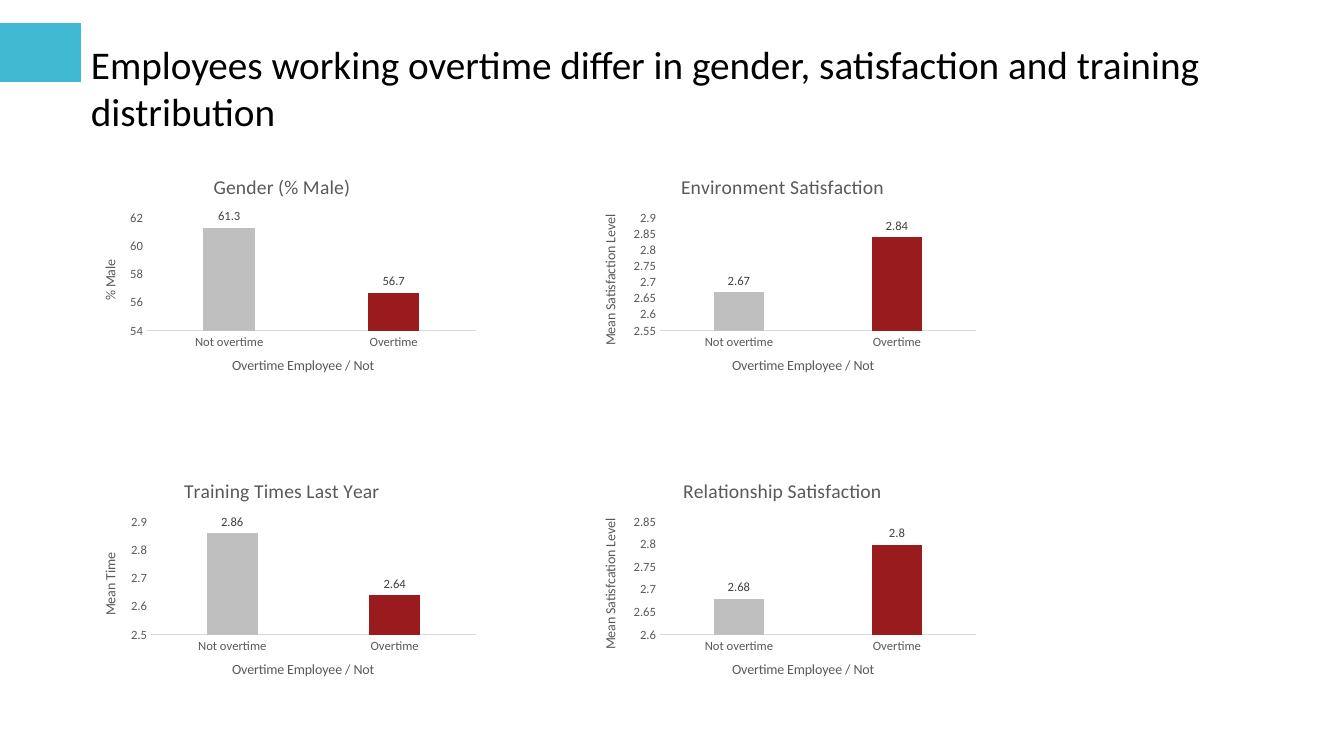
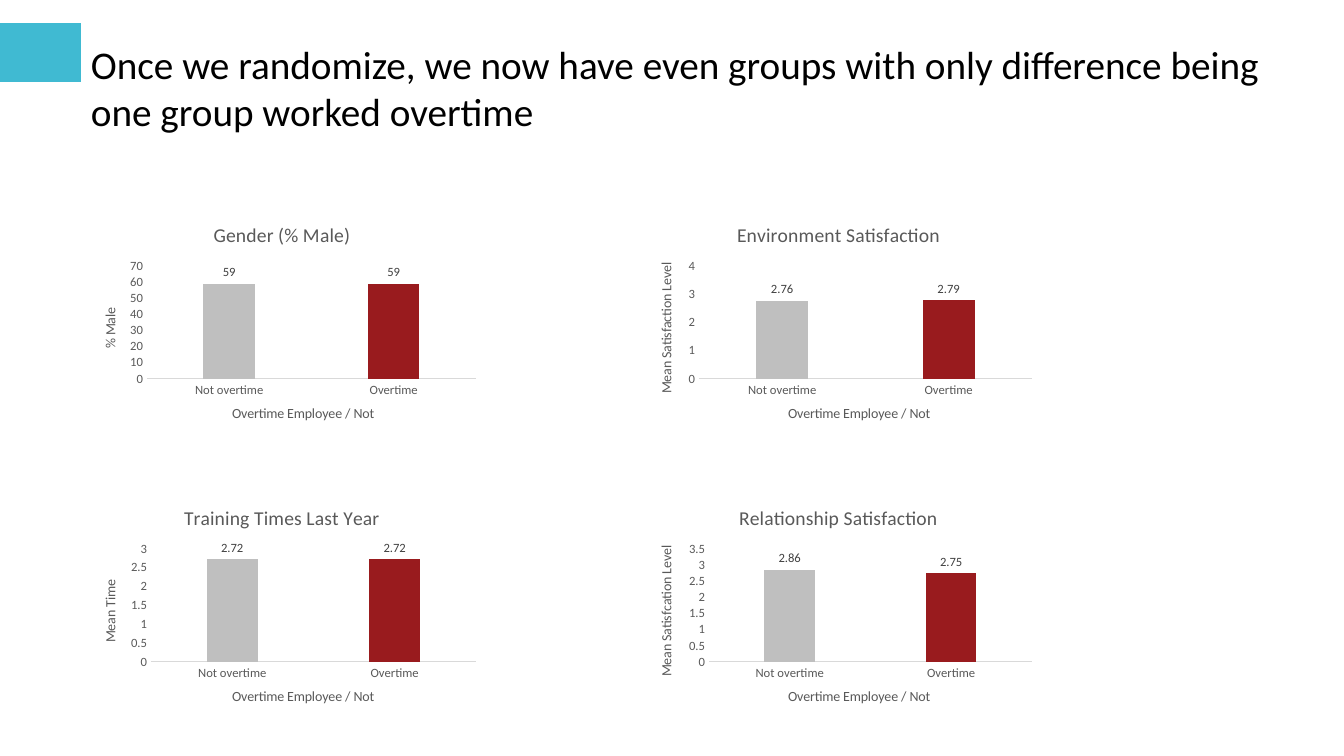
from dataclasses import dataclass

from lxml.etree import SubElement
from pptx import Presentation
from pptx.chart.data import CategoryChartData
from pptx.dml.color import RGBColor
from pptx.enum.chart import XL_CHART_TYPE as Kind
from pptx.enum.chart import XL_LABEL_POSITION as Spot
from pptx.enum.chart import XL_TICK_MARK as Tick
from pptx.enum.shapes import MSO_SHAPE as Form
from pptx.oxml.ns import qn
from pptx.util import Emu, Pt

FONT = "Calibri"
BLACK = RGBColor(0x00, 0x00, 0x00)
TEAL = RGBColor(0x40, 0xBA, 0xD2)
SILVER = RGBColor(0xBF, 0xBF, 0xBF)
RED = RGBColor(0x99, 0x1B, 0x1E)
RULE = RGBColor(0xD9, 0xD9, 0xD9)
GREY = RGBColor(0x59, 0x59, 0x59)
DARK = RGBColor(0x40, 0x40, 0x40)

WIDE, HIGH = 403, 236  # chart size
TOP, RIGHT, BASE = 57, 395, 170  # plot edges inside a chart


@dataclass(frozen=True)
class Topic:
    """A chart heading and its value axis title, with their lengths in px."""
    head: str
    wide: int
    unit: str
    long: int


@dataclass(frozen=True)
class Graph:
    topic: Topic
    vals: tuple[float, float]
    low: float
    high: float
    step: float
    left: int  # plot edge inside the chart


@dataclass(frozen=True)
class Page:
    title: str
    cols: tuple[int, int]
    rows: tuple[int, int]
    graphs: tuple[Graph, ...]  # row by row


GENDER = Topic("Gender (% Male)", 137, "% Male", 41)
PLACE = Topic("Environment Satisfaction", 202, "Mean Satisfaction Level", 131)
COURSE = Topic("Training Times Last Year", 196, "Mean Time", 62)
BOND = Topic("Relationship Satisfaction", 198, "Mean Satisfcation Level", 131)

PAGES = (
    Page("Employees working overtime differ in gender, satisfaction and "
         "training distribution", (81, 581), (161, 465), (
             Graph(GENDER, (61.3, 56.7), 54, 62, 2, 66),
             Graph(PLACE, (2.67, 2.84), 2.55, 2.9, 0.05, 79),
             Graph(COURSE, (2.86, 2.64), 2.5, 2.9, 0.1, 70),
             Graph(BOND, (2.68, 2.8), 2.6, 2.85, 0.05, 79))),
    Page("Once we randomize, we now have even groups with only difference "
         "being one group worked overtime", (81, 637), (209, 492), (
             Graph(GENDER, (59, 59), 0, 70, 10, 66),
             Graph(PLACE, (2.76, 2.79), 0, 4, 1, 62),
             Graph(COURSE, (2.72, 2.72), 0, 3, 0.5, 70),
             Graph(BOND, (2.86, 2.75), 0, 3.5, 0.5, 72))),
)


def px(count: int) -> Emu:
    return Emu(round(count * 914400 / 100.8))


def style(font, size: float, color: RGBColor) -> None:
    font.name, font.size, font.bold = FONT, Pt(size), False
    font.color.rgb = color


def paint(fill, color: RGBColor) -> None:
    fill.solid()
    fill.fore_color.rgb = color


def place(node, x: float, y: float, size: tuple[int, int] | None = None) -> None:
    """Fix a chart part at a px position within its chart."""
    old = node.find(qn("c:layout"))
    if old is not None:
        node.remove(old)
    layout = SubElement(node, qn("c:layout"))
    node.insert(0 if node.find(qn("c:tx")) is None else 1, layout)
    manual = SubElement(layout, qn("c:manualLayout"))
    items = [("xMode", "edge"), ("yMode", "edge"),
             ("x", x / WIDE), ("y", y / HIGH)]
    if size:
        items.insert(0, ("layoutTarget", "inner"))
        items += [("w", size[0] / WIDE), ("h", size[1] / HIGH)]
    for name, val in items:
        text = val if isinstance(val, str) else f"{val:.4f}"
        SubElement(manual, qn(f"c:{name}")).set("val", text)


def label(title, text: str, size: int, mid: tuple[int, int],
          box: tuple[int, int], turn: int = 0) -> None:
    """Write a chart or axis title centred on mid."""
    run = title.text_frame.paragraphs[0].add_run()
    run.text = text
    style(run.font, size, GREY)
    body = title.element.find(".//" + qn("a:bodyPr"))
    body.set("rot", str(turn * 60000))
    body.set("vert", "horz")
    place(title.element, mid[0] - box[0] / 2, mid[1] - box[1] / 2)


def add_graph(slide, graph: Graph, x: int, y: int) -> None:
    data = CategoryChartData()
    data.categories = ("Not overtime", "Overtime")
    data.add_series("Series 1", graph.vals)
    chart = slide.shapes.add_chart(Kind.COLUMN_CLUSTERED, px(x), px(y),
                                   px(WIDE), px(HIGH), data).chart
    style(chart.font, 10, BLACK)
    chart.has_legend = False
    topic = graph.topic
    label(chart.chart_title, topic.head, 14, (WIDE // 2, 27),
          (topic.wide + 7, 36))
    chart.chart_title.include_in_layout = False

    cat, val = chart.category_axis, chart.value_axis
    for axis in (cat, val):
        axis.major_tick_mark = axis.minor_tick_mark = Tick.NONE
        axis.has_major_gridlines = False
        style(axis.tick_labels.font, 9, GREY)
    cat.format.line.color.rgb = RULE
    cat.format.line.width = Pt(0.75)
    val.format.line.fill.background()
    val.minimum_scale, val.maximum_scale = graph.low, graph.high
    val.major_unit = graph.step
    label(cat.axis_title, "Overtime Employee / Not", 10, (222, 205), (147, 25))
    label(val.axis_title, topic.unit, 10, (30, 119), (25, topic.long + 5), -90)

    plot = chart.plots[0]
    plot.gap_width, plot.overlap = 219, -27
    plot.vary_by_categories = False
    plot.has_data_labels = True
    tags = plot.data_labels
    tags.show_value, tags.position = True, Spot.OUTSIDE_END
    style(tags.font, 9, DARK)
    bars = plot.series[0]
    paint(bars.format.fill, TEAL)
    for spot, color in enumerate((SILVER, RED)):
        paint(bars.points[spot].format.fill, color)
    place(chart.element.find(".//" + qn("c:plotArea")), graph.left, TOP,
          (RIGHT - graph.left, BASE - TOP))


def add_page(deck, page: Page) -> None:
    slide = deck.slides.add_slide(deck.slide_layouts[6])
    frame = slide.shapes.add_textbox(px(81), px(35), px(1197), px(105)).text_frame
    frame.word_wrap = True
    run = frame.paragraphs[0].add_run()
    run.text = page.title
    style(run.font, 28, BLACK)

    band = slide.shapes.add_shape(Form.RECTANGLE, 0, px(23), px(81), px(59))
    band.shadow.inherit = False
    paint(band.fill, TEAL)
    band.line.fill.background()

    spots = ((x, y) for y in page.rows for x in page.cols)
    for graph, (x, y) in zip(page.graphs, spots):
        add_graph(slide, graph, x, y)


def main() -> None:
    deck = Presentation()
    deck.slide_width, deck.slide_height = px(1344), px(756)
    for page in PAGES:
        add_page(deck, page)
    deck.save("out.pptx")


if __name__ == "__main__":
    main()
